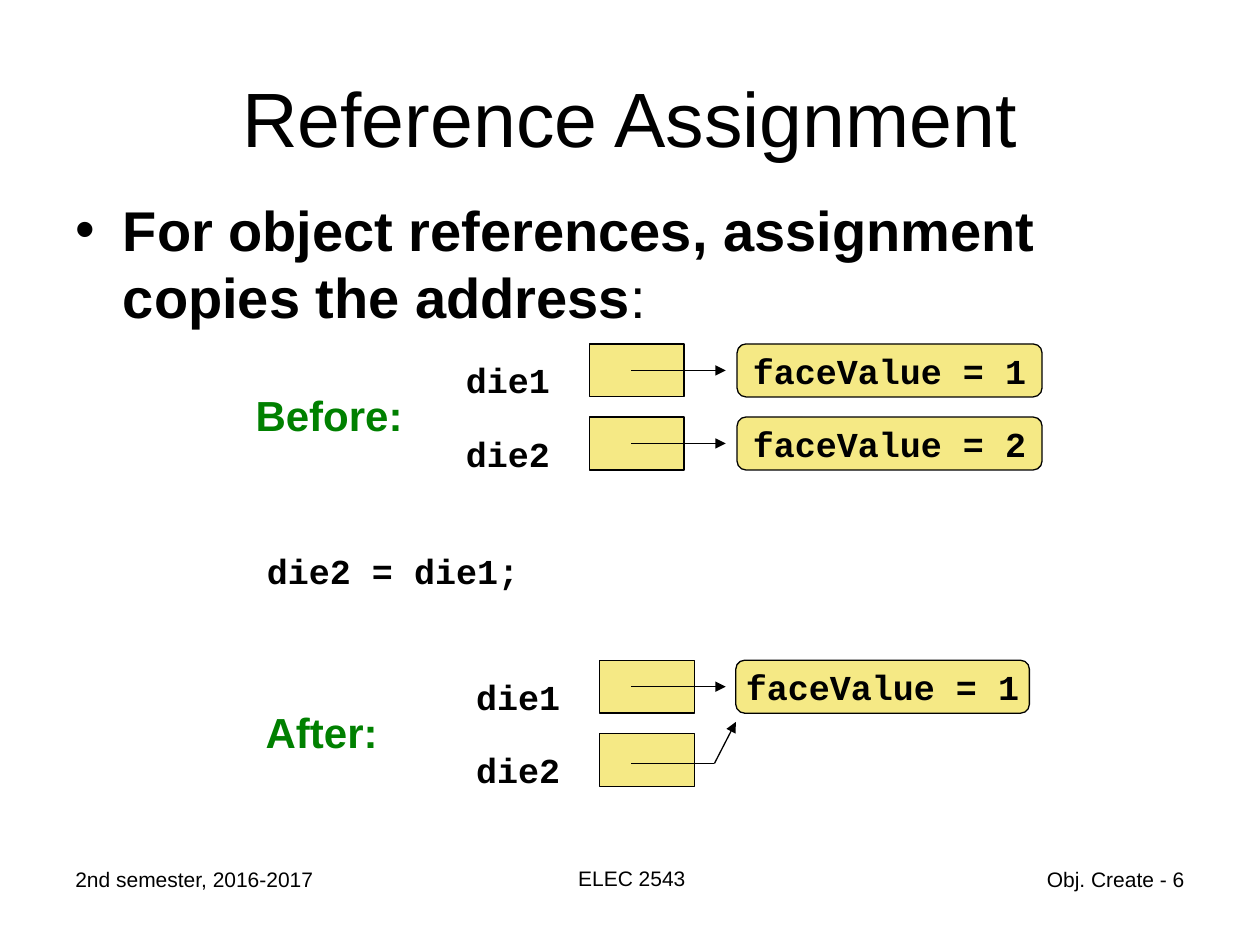
from pptx import Presentation
from pptx.dml.color import RGBColor
from pptx.enum import shapes as kinds, text as t
from pptx.oxml import parse_xml
from pptx.oxml.ns import nsdecls
from pptx.util import Inches, Pt

BLACK = RGBColor(0x00, 0x00, 0x00)
GREEN = RGBColor(0x00, 0x80, 0x00)
YELLOW = RGBColor(0xF5, 0xE9, 0x85)
SANS, MONO = "Arial", "Courier New"
LEFT, MID, RIGHT = t.PP_ALIGN.LEFT, t.PP_ALIGN.CENTER, t.PP_ALIGN.RIGHT

TITLE = "Reference Assignment"
BODY = [("For object references, assignment copies the address", True), (":", False)]
CODE = "die2 = die1;"
NAMES = ["die1", "die2"]
STATES = [
    dict(label="Before:", at=(1.93, 3.04, 1.36, 0.5), x=3.6, y=2.73,
         value_x=5.85, value_w=2.42, values=["faceValue = 1", "faceValue = 2"]),
    dict(label="After:", at=(2.01, 5.56, 1.09, 0.5), x=3.68, y=5.24,
         value_x=5.84, value_w=2.33, values=["faceValue = 1"]),
]
FOOTER = [
    ("2nd semester, 2016-2017", (0.5, 6.83, 2.33, 0.52), LEFT),
    ("ELEC 2543", (3.43, 6.82, 3.17, 0.52), MID),
    ("Obj. Create - 6", (7.17, 6.83, 2.33, 0.52), RIGHT),
]
PITCH, BOX_W, BOX_H = 0.58, 0.75, 0.42
TAIL_X, TIP_X, BEND_X = 5.01, 5.76, 5.67


def write(shape, runs, size=20, font=MONO, color=BLACK, bold=True,
          align=LEFT, wrap=False, anchor=t.MSO_ANCHOR.TOP):
    """Fill a shape with one paragraph; runs is a string or (text, bold) pairs."""
    frame = shape.text_frame
    frame.auto_size = t.MSO_AUTO_SIZE.NONE
    frame.word_wrap = wrap
    frame.vertical_anchor = anchor
    para = frame.paragraphs[0]
    para.alignment = align
    para.space_before = Pt(0)
    for words, heavy in [(runs, bold)] if isinstance(runs, str) else runs:
        run = para.add_run()
        run.text = words
        run.font.name, run.font.size, run.font.bold = font, Pt(size), heavy
        run.font.color.rgb = color


def place(shape, at):
    shape.left, shape.top, shape.width, shape.height = map(Inches, at)
    return shape


def label(parent, words, at, **look):
    write(parent.shapes.add_textbox(*map(Inches, at)), words, **look)


def box(parent, kind, at):
    shape = parent.shapes.add_shape(kind, *map(Inches, at))
    shape.shadow.inherit = False
    shape.fill.solid()
    shape.fill.fore_color.rgb = YELLOW
    shape.line.color.rgb = BLACK
    shape.line.width = Pt(0.75)
    return shape


def line(parent, start, end, arrow=True):
    link = parent.shapes.add_connector(
        kinds.MSO_CONNECTOR.STRAIGHT, *map(Inches, start + end))
    link.line.color.rgb = BLACK
    link.line.width = Pt(0.75)
    if arrow:
        link.line._get_or_add_ln().append(
            parse_xml(f'<a:tailEnd {nsdecls("a")} type="triangle"/>'))
    link._element.spPr.append(parse_xml(f'<a:effectLst {nsdecls("a")}/>'))


def draw(slide, state):
    """Draw both variables of one state with the objects they refer to."""
    group = slide.shapes.add_group_shape()
    label(group, state["label"], state["at"], size=24, font=SANS, color=GREEN)
    for i, name in enumerate(NAMES):
        top = state["y"] + i * PITCH
        mid = top + BOX_H / 2
        box(group, kinds.MSO_SHAPE.RECTANGLE,
            (state["x"] + 1.08, top, BOX_W, BOX_H))
        label(group, name, (state["x"], top + 0.07, 0.87, 0.44))
        if i < len(state["values"]):
            value = box(group, kinds.MSO_SHAPE.ROUNDED_RECTANGLE,
                        (state["value_x"], top, state["value_w"], BOX_H))
            write(value, state["values"][i], align=MID, anchor=t.MSO_ANCHOR.MIDDLE)
            line(group, (TAIL_X, mid), (TIP_X, mid))
        else:
            bend = (BEND_X, mid + 0.03)
            line(group, bend, (state["value_x"], state["y"] + 0.49))
            line(group, bend, (TAIL_X, mid + 0.03), arrow=False)


def main():
    deck = Presentation()
    deck.slide_width, deck.slide_height = Inches(10), Inches(7.5)
    slide = deck.slides.add_slide(deck.slide_layouts[1])
    title, body = slide.placeholders
    write(place(title, (0.5, 0.3, 9, 1.25)), TITLE, size=44, font=SANS,
          bold=False, align=MID, wrap=True, anchor=t.MSO_ANCHOR.MIDDLE)
    write(place(body, (0.5, 1.5, 9.08, 1.22)), BODY, size=32, font=SANS, wrap=True)
    label(slide, CODE, (2.02, 4.31, 2.2, 0.44))
    for state in STATES:
        draw(slide, state)
    for words, at, align in FOOTER:
        label(slide, words, at, size=12, font=SANS, bold=False,
              align=align, wrap=True)
    deck.save("out.pptx")


if __name__ == "__main__":
    main()
